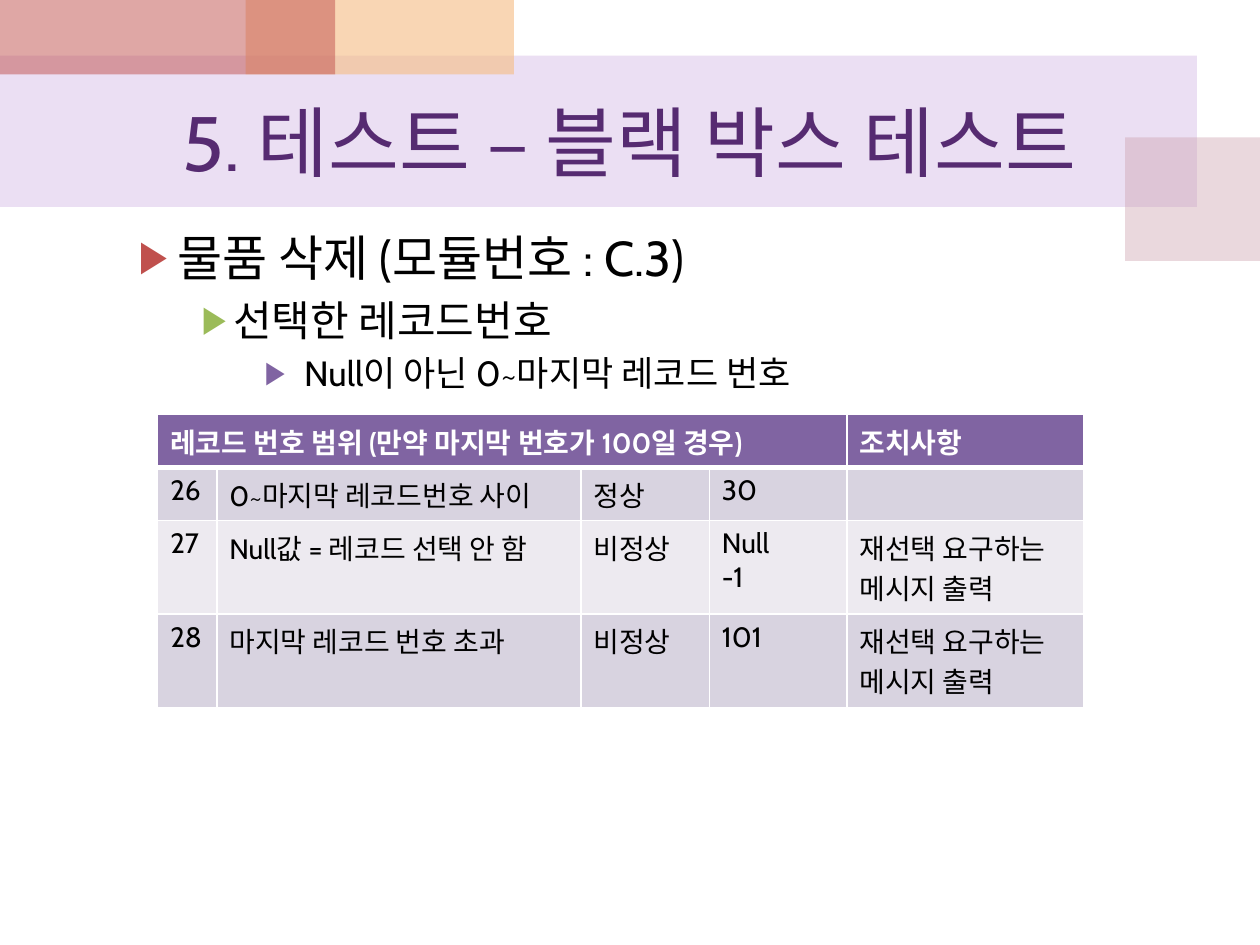
from lxml import etree
from pptx import Presentation
from pptx.dml.color import RGBColor
from pptx.enum import shapes, text
from pptx.oxml import ns
from pptx.util import Cm, Pt

FONT = "Cabin"
WHITE = RGBColor(0xFF, 0xFF, 0xFF)
BLACK = RGBColor(0x00, 0x00, 0x00)
PLUM = RGBColor(0x56, 0x2B, 0x71)
LILAC = RGBColor(0xBF, 0x98, 0xD8)
ROSE = RGBColor(0xCC, 0x9E, 0xAC)
APRICOT = RGBColor(0xF5, 0xBC, 0x83)
RED = RGBColor(0xC0, 0x50, 0x4D)
GREEN = RGBColor(0x9B, 0xBB, 0x59)
PURPLE = RGBColor(0x80, 0x64, 0xA2)
BAND_DARK = RGBColor(0xD8, 0xD3, 0xE0)
BAND_LIGHT = RGBColor(0xED, 0xEA, 0xF0)

# left, top, width, height in cm, colour, opacity in percent
BLOCKS = [
    (0, 1.12, 24.13, 3.05, LILAC, 30),
    (22.68, 2.77, 2.72, 2.49, ROSE, 40),
    (4.95, 0, 5.41, 1.5, APRICOT, 60),
    (0, 0, 6.76, 1.5, RED, 50),
]
# wording, size, left margin, indent in cm, bullet colour
OUTLINE = [
    ("물품 삭제 (모듈번호 : C.3)", 28, 2.06, -0.79, RED),
    ("선택한 레코드번호", 24, 3.18, -0.64, GREEN),
    (" Null이 아닌 0~마지막 레코드 번호", 20, 4.45, -0.64, PURPLE),
]
RETRY = "재선택 요구하는\n메시지 출력"
CASES = [
    ("레코드 번호 범위 (만약 마지막 번호가 100일 경우)", "", "", "", "조치사항"),
    ("26", "0~마지막 레코드번호 사이", "정상", "30", ""),
    ("27", "Null값 = 레코드 선택 안 함", "비정상", "Null\n-1", RETRY),
    ("28", "마지막 레코드 번호 초과", "비정상", "101", RETRY),
]
COLUMN_WIDTHS = [1.19, 7.34, 2.59, 2.77, 4.78]
ROW_HEIGHTS = [1.04, 0.76, 0.81, 0.81]


def child(parent, tag, **attributes):
    element = etree.SubElement(parent, ns.qn(tag))
    for key, value in attributes.items():
        element.set(key, str(value))
    return element


def write(paragraph, words, size=16, color=BLACK, bold=False, align=None):
    run = paragraph.add_run()
    run.text = words
    run.font.name = FONT
    run.font.size = Pt(size)
    run.font.bold = bold
    run.font.color.rgb = color
    if align is not None:
        paragraph.alignment = align


def place(shape, box):
    shape.left, shape.top, shape.width, shape.height = map(Cm, box)


def add_block(slide, box, color, opacity):
    block = slide.shapes.add_shape(shapes.MSO_SHAPE.RECTANGLE, *map(Cm, box))
    block.shadow.inherit = False
    block.line.fill.background()
    block.fill.solid()
    block.fill.fore_color.rgb = color
    rgb = block.fill._xPr.find(".//" + ns.qn("a:srgbClr"))
    child(rgb, "a:alpha", val=opacity * 1000)


def fill_title(title, box):
    place(title, box)
    title.text_frame.vertical_anchor = text.MSO_ANCHOR.MIDDLE
    write(title.text_frame.paragraphs[0], "5. 테스트 – 블랙 박스 테스트",
          size=44, color=PLUM, align=text.PP_ALIGN.CENTER)


def set_bullet(paragraph, margin, indent, color):
    properties = paragraph._p.get_or_add_pPr()
    properties.set("marL", str(Cm(margin)))
    properties.set("indent", str(Cm(indent)))
    child(child(properties, "a:buClr"), "a:srgbClr", val=color)
    child(properties, "a:buSzPct", val=90000)
    child(properties, "a:buFont", typeface="Arial")
    child(properties, "a:buChar", char="▶")


def fill_outline(body, box):
    place(body, box)
    frame = body.text_frame
    for level, (words, size, margin, indent, color) in enumerate(OUTLINE):
        paragraph = frame.add_paragraph() if level else frame.paragraphs[0]
        paragraph.level = level
        set_bullet(paragraph, margin, indent, color)
        write(paragraph, words, size=size)


def set_borders(cell, bottom=1):
    properties = cell._tc.get_or_add_tcPr()
    for side, width in (("L", 1), ("R", 1), ("T", 1), ("B", bottom)):
        line = child(properties, "a:ln" + side, w=Pt(width))
        child(child(line, "a:solidFill"), "a:srgbClr", val=WHITE)


def add_cases(slide, box):
    frame = slide.shapes.add_table(len(CASES), len(COLUMN_WIDTHS), *map(Cm, box))
    table = frame.table
    for column, width in zip(table.columns, COLUMN_WIDTHS):
        column.width = Cm(width)
    for row, height in zip(table.rows, ROW_HEIGHTS):
        row.height = Cm(height)
    frame.height = Cm(box[3])
    table.cell(0, 0).merge(table.cell(0, 3))
    for r, case in enumerate(CASES):
        header = r == 0
        band = PURPLE if header else BAND_DARK if r % 2 else BAND_LIGHT
        for c, words in enumerate(case):
            cell = table.cell(r, c)
            set_borders(cell, bottom=3 if header else 1)
            cell.fill.solid()
            cell.fill.fore_color.rgb = band
            for i, line in enumerate(words.split("\n") if words else []):
                lines = cell.text_frame
                paragraph = lines.add_paragraph() if i else lines.paragraphs[0]
                write(paragraph, line, color=WHITE if header else BLACK, bold=header)


def main():
    deck = Presentation()
    deck.slide_width, deck.slide_height = Cm(25.4), Cm(19.05)
    slide = deck.slides.add_slide(deck.slide_layouts[1])
    title, body = slide.placeholders
    for *box, color, opacity in BLOCKS:
        add_block(slide, box, color, opacity)
    for holder in (title, body):  # bring the text in front of the blocks
        slide.shapes._spTree.append(holder._element)
    fill_title(title, (1.27, 1.5, 22.86, 2.67))
    fill_outline(body, (1.27, 4.45, 22.86, 12.57))
    add_cases(slide, (3.18, 8.36, 18.64, 5.18))
    deck.save("out.pptx")


if __name__ == "__main__":
    main()
